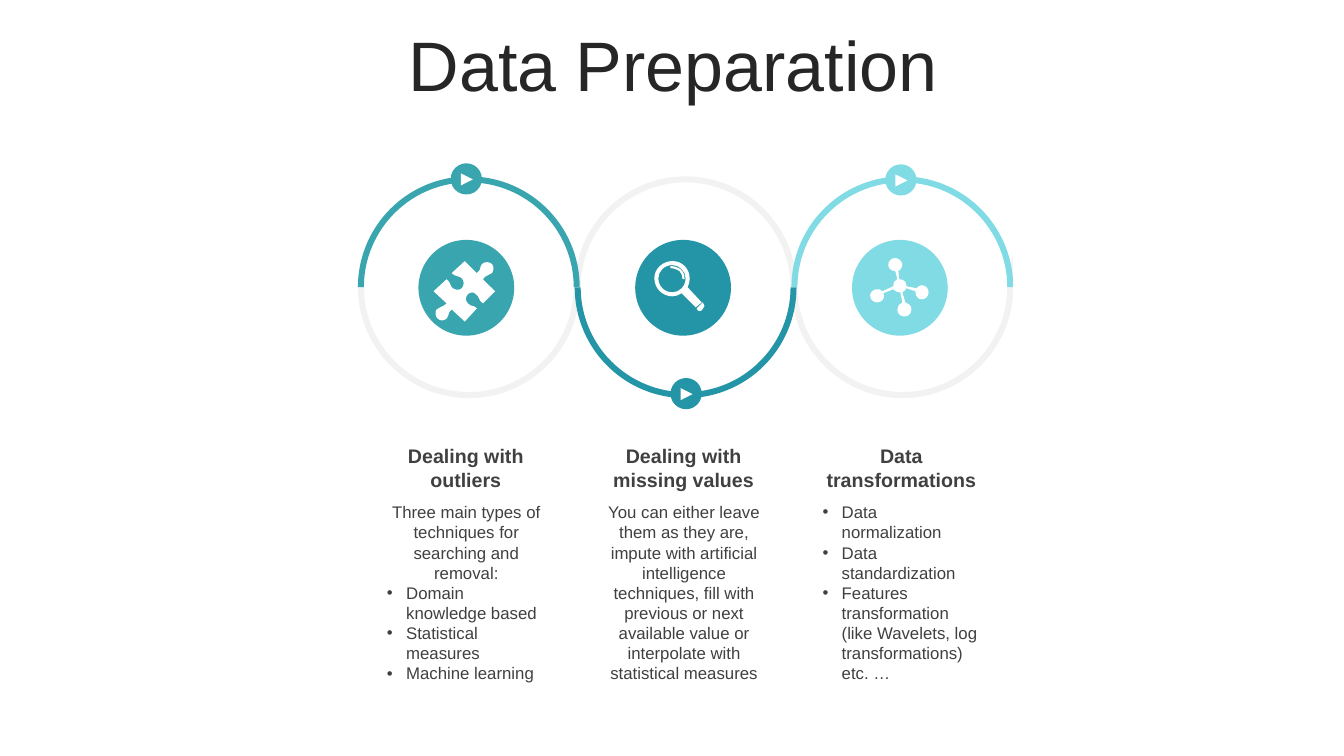
from dataclasses import dataclass

from lxml import etree
from pptx import Presentation
from pptx.dml.color import RGBColor
from pptx.enum.shapes import MSO_SHAPE
from pptx.enum.text import MSO_ANCHOR, MSO_AUTO_SIZE, PP_ALIGN
from pptx.oxml.ns import qn
from pptx.util import Inches, Pt

ELLIPSE, ARC, RECTANGLE = MSO_SHAPE.OVAL, MSO_SHAPE.BLOCK_ARC, MSO_SHAPE.RECTANGLE
TRIANGLE = MSO_SHAPE.FLOWCHART_EXTRACT
CENTER, LEFT = PP_ALIGN.CENTER, PP_ALIGN.LEFT
MIDDLE, TOP = MSO_ANCHOR.MIDDLE, MSO_ANCHOR.TOP
GROW, FIXED = MSO_AUTO_SIZE.SHAPE_TO_FIT_TEXT, MSO_AUTO_SIZE.NONE

COLORS = {
    "title": "262626", "text": "404040", "white": "FFFFFF", "track": "F2F2F2",
    "teal": "39A5AE", "deep": "2395A6", "aqua": "80DBE4",
}
FONT = "Arial"
UNITS_PER_INCH = 1000
CIRCLE_HANDLE = 0.55
PITCH, TEXT_PITCH = 2.15, 2.16
RING_SIZE, RING_TOP, RING_LEFT = 2.2, 1.75, 3.55
RING_OUTER, RING_INNER = 1.1, 1.04
BULLET_INDENT = 0.19

Point = tuple[float, float]

# Icon outlines in hundredths of an inch: M = move, L = line, C = curve
PUZZLE = """
M 488 262 C 490 264 490 268 488 271 C 485 274 482 272 479 277 L 491 289 L 479 301
C 474 298 476 294 472 292 C 470 289 466 290 464 292 C 462 294 461 298 464 301
C 468 305 469 302 473 306 L 461 319 L 448 307 C 444 310 446 312 443 316
C 440 319 436 318 434 316 C 432 314 431 310 433 307 C 436 304 439 305 443 301
L 430 289 L 443 277 C 447 280 446 283 449 286 C 452 288 456 288 458 286
C 460 284 461 279 458 276 C 454 273 452 275 448 271 L 461 259 L 473 271
C 478 267 475 266 478 262 C 481 259 486 260 488 262"""
MAGNIFIER = """
M 697 300 L 698 302 C 699 303 699 304 698 305 L 696 308 C 695 309 693 309 692 308
C 692 307 691 307 691 306
M 665 264 C 669 264 672 265 675 267 C 678 270 679 273 679 277 L 677 277
C 677 274 676 271 674 269 C 671 267 668 266 665 266
M 667 263 C 659 263 653 269 653 276 C 653 284 659 290 667 290
C 674 290 680 284 680 276 C 680 269 674 263 667 263
M 667 259 C 677 259 684 267 684 276 C 684 280 683 283 682 285 L 696 300 L 690 305
L 676 291 C 673 293 670 294 667 294 C 657 294 649 286 649 276
C 649 267 657 259 667 259"""
MOLECULE = """
M 888 256 C 891 256 895 259 895 263 C 895 265 893 268 891 269 L 892 277
C 892 277 892 277 892 277 C 896 277 899 280 899 283 L 899 284 L 909 286
C 910 285 912 283 914 283 C 918 283 921 286 921 290 C 921 294 918 297 914 297
C 911 297 908 294 908 290 L 908 289 L 899 286 C 898 288 897 289 895 290 L 898 300
C 901 301 904 303 904 307 C 904 311 901 314 897 314 C 893 314 890 311 890 307
C 890 304 892 301 895 300 L 893 290 C 893 290 893 290 892 290
C 890 290 888 289 886 287 L 876 291 C 877 292 877 292 877 293
C 877 297 874 300 870 300 C 866 300 863 297 863 293 C 863 290 866 287 870 287
C 872 287 874 287 875 289 L 886 284 C 886 284 886 284 886 283
C 886 281 887 278 890 277 L 888 269 C 888 269 888 269 888 269
C 884 269 881 266 881 263 C 881 259 884 256 888 256"""


@dataclass
class Segment:
    command: str
    points: list[Point]


@dataclass
class Item:
    text: str
    bullet: bool = True


@dataclass
class Stage:
    heading: str
    items: list[Item]
    color: str
    rotation: int
    marker: Point
    icon: str


STAGES = [
    Stage("Dealing with outliers", [
        Item("Three main types of techniques for searching and removal:", False),
        Item("Domain knowledge based"), Item("Statistical measures"),
        Item("Machine learning"),
    ], "teal", 0, (4.47, 1.62), PUZZLE),
    Stage("Dealing with missing values", [
        Item("You can either leave them as they are, impute with artificial "
             "intelligence techniques, fill with previous or next available value "
             "or interpolate with statistical measures", False),
    ], "deep", 180, (6.65, 3.75), MAGNIFIER),
    Stage("Data transformations", [
        Item("Data normalization"), Item("Data standardization"),
        Item("Features transformation (like Wavelets, log transformations)\netc. …"),
    ], "aqua", 0, (8.78, 1.63), MOLECULE),
]


def paint(shape, color: str) -> None:
    shape.shadow.inherit = False
    shape.fill.solid()
    shape.fill.fore_color.rgb = RGBColor.from_string(COLORS[color])
    shape.line.fill.background()


def add_shape(slide, kind, left: float, top: float, width: float, height: float,
              color: str, rotation: int = 0):
    shape = slide.shapes.add_shape(
        kind, Inches(left), Inches(top), Inches(width), Inches(height))
    shape.rotation = rotation
    paint(shape, color)
    return shape


def add_outline(slide, segments: list[Segment], color: str) -> None:
    """Build straight lines first, then join each three into one curve."""
    builder = None
    for segment in segments:
        points = [(x * UNITS_PER_INCH, y * UNITS_PER_INCH) for x, y in segment.points]
        if segment.command != "M":
            builder.add_line_segments(points, close=False)
        elif builder is None:
            builder = slide.shapes.build_freeform(
                *points[0], scale=Inches(1) / UNITS_PER_INCH)
        else:
            builder.add_line_segments([], close=True)
            builder.move_to(*points[0])
    builder.add_line_segments([], close=True)
    shape = builder.convert_to_shape()
    paint(shape, color)
    lines = iter(list(shape._element.iter(qn("a:lnTo"))))
    for segment in segments:
        if segment.command == "L":
            next(lines)
        elif segment.command == "C":
            group = [next(lines) for _ in range(3)]
            curve = etree.Element(qn("a:cubicBezTo"))
            group[0].addprevious(curve)
            for line in group:
                curve.append(line[0])
                line.getparent().remove(line)


def icon_segments(outline: str) -> list[Segment]:
    tokens = iter(outline.split())
    return [
        Segment(command, [(int(next(tokens)) / 100, int(next(tokens)) / 100)
                          for _ in range(3 if command == "C" else 1)])
        for command in tokens
    ]


def wave_edge(indices: range, direction: int, radii: Point) -> list[Segment]:
    """Half circles that swing below and above the middle line in turn."""
    segments = []
    middle = RING_TOP + RING_OUTER
    for index in indices:
        radius = radii[index % 2]
        center = RING_LEFT + RING_OUTER + index * PITCH
        crest = middle + (-radius if index % 2 else radius)
        start, end = center - direction * radius, center + direction * radius
        handle = direction * radius * CIRCLE_HANDLE
        lift = middle + (crest - middle) * CIRCLE_HANDLE
        segments += [
            Segment("L", [(start, middle)]),
            Segment("C", [(start, lift), (center - handle, crest), (center, crest)]),
            Segment("C", [(center + handle, crest), (end, lift), (end, middle)]),
        ]
    return segments


def add_text(slide, left: float, top: float, width: float, height: float,
             items: list[Item], size: int, color: str = "text", bold: bool = False,
             side_inset: float = 0.1, anchor=TOP, auto_size=GROW):
    box = slide.shapes.add_textbox(
        Inches(left), Inches(top), Inches(width), Inches(height))
    frame = box.text_frame
    frame.word_wrap, frame.auto_size, frame.vertical_anchor = True, auto_size, anchor
    frame.margin_left = frame.margin_right = Inches(side_inset)
    for index, item in enumerate(items):
        paragraph = frame.add_paragraph() if index else frame.paragraphs[0]
        paragraph.alignment = LEFT if item.bullet else CENTER
        if item.bullet:
            properties = paragraph._p.get_or_add_pPr()
            properties.set("marL", str(Inches(BULLET_INDENT)))
            properties.set("indent", str(-Inches(BULLET_INDENT)))
            etree.SubElement(properties, qn("a:buFont")).set("typeface", FONT)
            etree.SubElement(properties, qn("a:buChar")).set("char", "•")
        for number, line in enumerate(item.text.split("\n")):
            if number:
                paragraph.add_line_break()
            run = paragraph.add_run()
            run.text = line
            run.font.name, run.font.size, run.font.bold = FONT, Pt(size), bold
            run.font.color.rgb = RGBColor.from_string(COLORS[color])
    return frame


def main() -> None:
    presentation = Presentation()
    presentation.slide_width, presentation.slide_height = Inches(13.33), Inches(7.5)
    slide = presentation.slides.add_slide(presentation.slide_layouts[6])

    # Title
    title = add_text(slide, 0.35, 0.31, 12.66, 0.79, [Item("Data Preparation", False)],
                     50, "title", anchor=MIDDLE, auto_size=FIXED).paragraphs[0]
    title.line_spacing, title.space_before = 0.8, Pt(10)

    # Pale wave behind the rings
    wave = (wave_edge(range(4), 1, (RING_OUTER, RING_INNER))
            + wave_edge(range(3, -1, -1), -1, (RING_INNER, RING_OUTER)))
    wave[0].command = "M"
    add_outline(slide, wave, "track")

    # Discs, texts and coloured half rings
    for index, stage in enumerate(STAGES):
        shift, text_shift = index * PITCH, index * TEXT_PITCH
        add_shape(slide, ELLIPSE, 4.15 + shift, 2.38, 0.95, 0.95, stage.color)
        add_text(slide, 3.74 + text_shift, 4.93, 1.77, 1.92, stage.items, 12)
        add_text(slide, 3.73 + text_shift, 4.36, 1.78, 0.57,
                 [Item(stage.heading, False)], 14, bold=True, side_inset=0.12)
        ring = add_shape(slide, ARC, RING_LEFT + shift, RING_TOP, RING_SIZE,
                         RING_SIZE, stage.color, stage.rotation)
        for number, value in enumerate((108, 0, 0.027)):
            ring.adjustments[number] = value

    # Play markers
    for stage in STAGES:
        left, top = stage.marker
        add_shape(slide, ELLIPSE, left, top, 0.31, 0.31, stage.color)
        add_shape(slide, TRIANGLE, left + 0.1, top + 0.1, 0.12, 0.12, "white", 90)

    # White panel that ends the wave after the third ring
    panel = add_shape(slide, RECTANGLE, 10.05, 1.63, 2.2, 1.34, "white")
    panel.line.color.rgb = RGBColor.from_string(COLORS["white"])
    panel.line.width = Pt(1)

    # Icons
    for stage in STAGES:
        add_outline(slide, icon_segments(stage.icon), "white")

    presentation.save("out.pptx")


if __name__ == "__main__":
    main()
